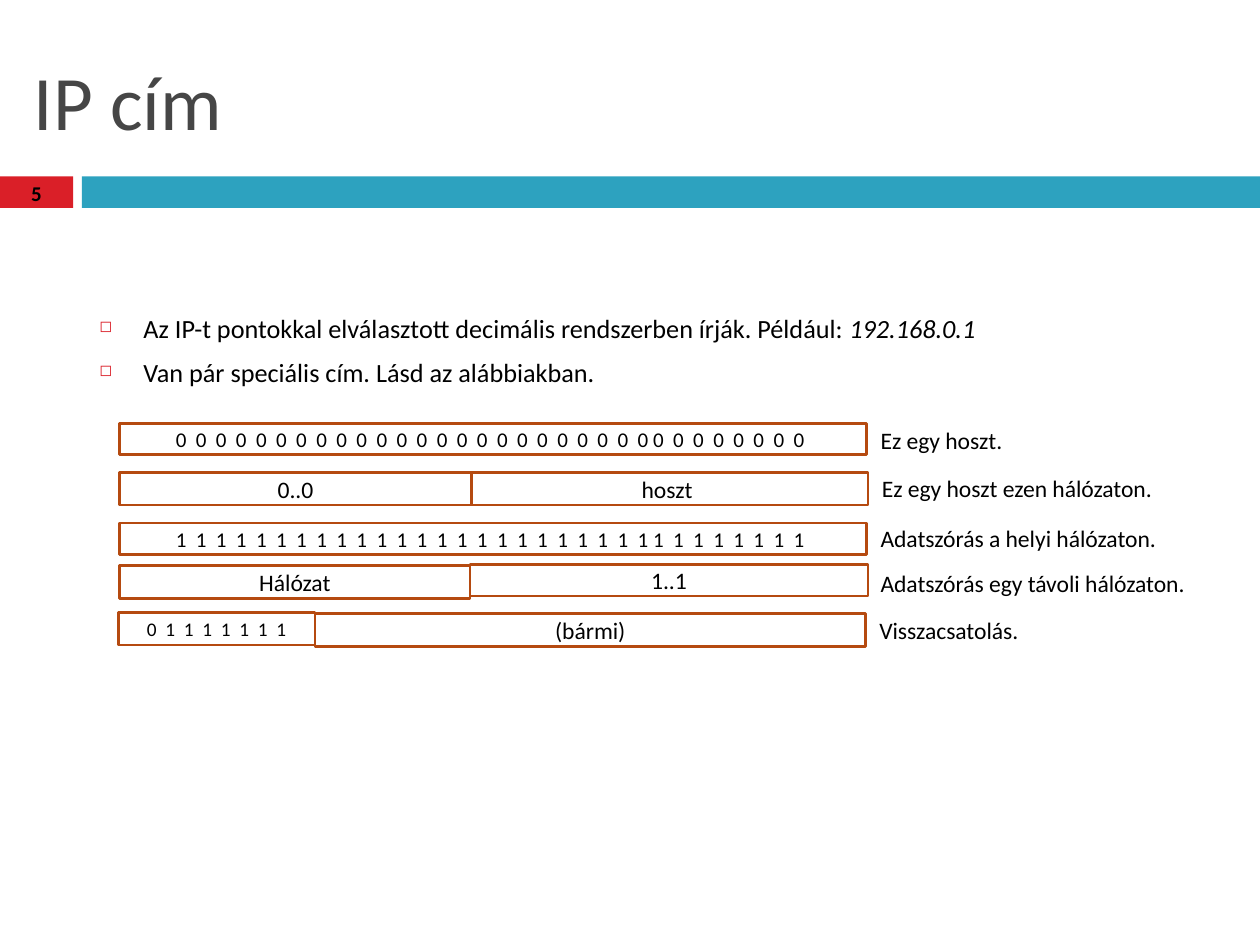
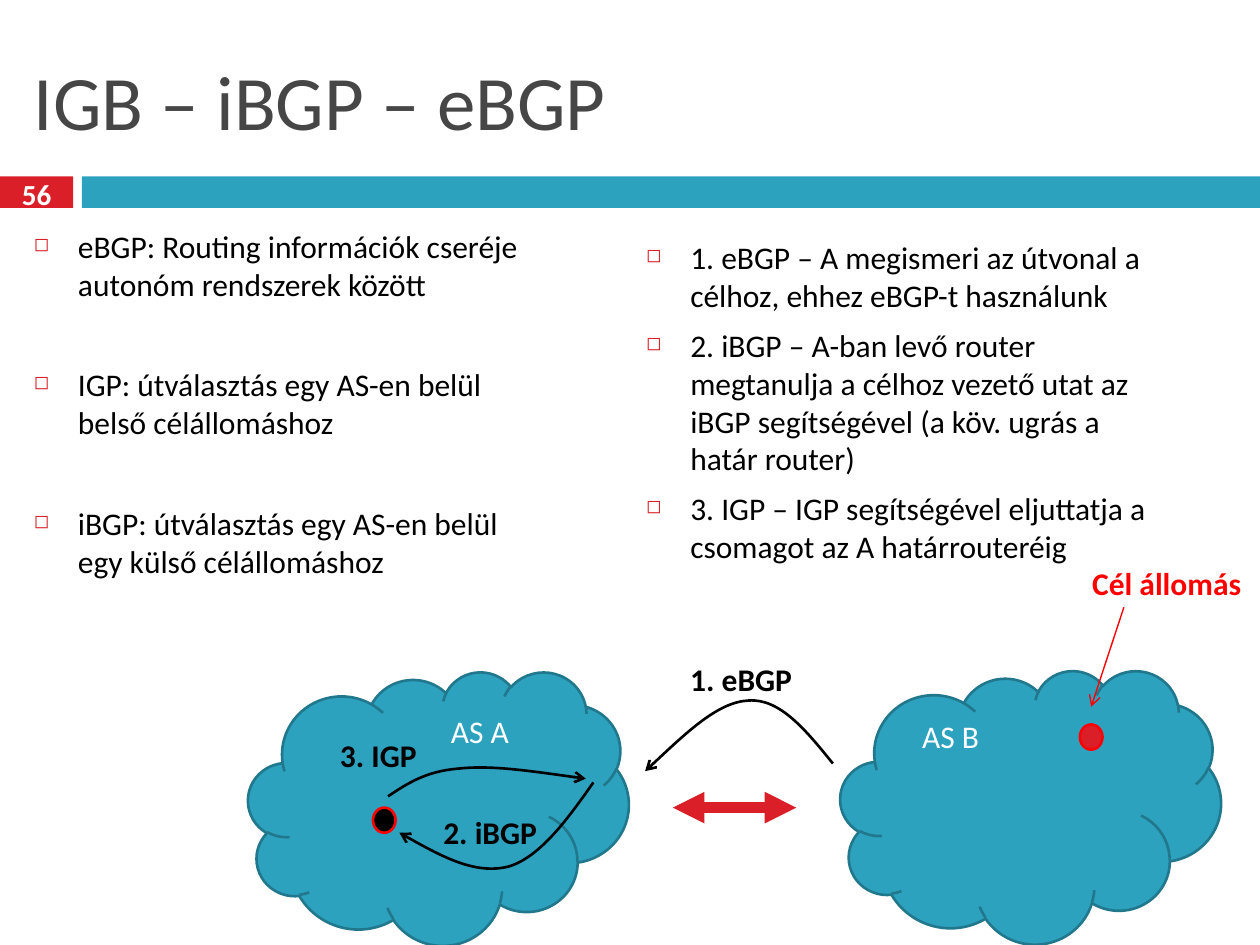
from dataclasses import dataclass

from lxml import etree
from pptx import Presentation
from pptx.dml.color import RGBColor
from pptx.enum.shapes import MSO_CONNECTOR, MSO_SHAPE
from pptx.enum.text import MSO_ANCHOR, PP_ALIGN
from pptx.oxml.ns import qn
from pptx.util import Emu, Pt

PX = 9144
RECT, CLOUD, OVAL = MSO_SHAPE.RECTANGLE, MSO_SHAPE.CLOUD, MSO_SHAPE.OVAL
STRAIGHT = MSO_CONNECTOR.STRAIGHT
TOP, MIDDLE = MSO_ANCHOR.TOP, MSO_ANCHOR.MIDDLE
LEFT, CENTER = PP_ALIGN.LEFT, PP_ALIGN.CENTER


@dataclass(frozen=True)
class Theme:
    font: str = "Calibri"
    title: str = "464646"
    text: str = "000000"
    light: str = "FFFFFF"
    accent: str = "DA1F28"
    band: str = "2DA2BF"
    cloud_line: str = "21788D"
    field_line: str = "B54A10"
    target: str = "FF0000"
    title_size: float = 44
    body_size: float = 18
    small_body_size: float = 15
    field_size: float = 13.5
    bits_size: float = 12
    short_bits_size: float = 11
    outline: float = 1.5
    thin: float = 0.79
    thick: float = 6
    bullet_gap: float = 7
    wide_gap: float = 36


THEME = Theme()


@dataclass(frozen=True)
class Box:
    x: int
    y: int
    w: int
    h: int

    def emu(self) -> list[Emu]:
        return [px(v) for v in (self.x, self.y, self.w, self.h)]


@dataclass(frozen=True)
class Style:
    size: float = THEME.body_size
    color: str = THEME.text
    bold: bool = False
    align: int = LEFT
    anchor: int = TOP
    wrap: bool = True


@dataclass(frozen=True)
class Bullet:
    text: str
    example: str = ""
    before: float = THEME.bullet_gap


@dataclass(frozen=True)
class Field:
    box: Box
    text: str
    size: float = THEME.field_size


@dataclass(frozen=True)
class Label:
    box: Box
    text: str
    style: Style


@dataclass(frozen=True)
class Curve:
    points: tuple[tuple[int, int], ...]


def px(value: int) -> Emu:
    return Emu(value * PX)


def rgb(color: str) -> RGBColor:
    return RGBColor.from_string(color)


def style_run(r, style: Style, italic: bool = False) -> None:
    r.font.name = THEME.font
    r.font.size = Pt(style.size)
    r.font.bold = style.bold
    r.font.italic = italic
    r.font.color.rgb = rgb(style.color)


def write(sp, text: str, style: Style) -> None:
    tf = sp.text_frame
    tf.text = text
    tf.word_wrap = style.wrap
    tf.vertical_anchor = style.anchor
    p = tf.paragraphs[0]
    p.alignment = style.align
    style_run(p.runs[0], style)


def add_text(s, box: Box, text: str, style: Style) -> None:
    write(s.shapes.add_textbox(*box.emu()), text, style)


def add_shape(s, kind: int, box: Box, fill: str = "", line: str = ""):
    sp = s.shapes.add_shape(kind, *box.emu())
    sp.shadow.inherit = False
    if fill:
        sp.fill.solid()
        sp.fill.fore_color.rgb = rgb(fill)
    else:
        sp.fill.background()
    if line:
        set_line(sp, line, THEME.outline)
    else:
        sp.line.fill.background()
    return sp


def set_line(sp, color: str, width: float, head: str = "", tail: str = "") -> None:
    sp.line.color.rgb = rgb(color)
    sp.line.width = Pt(width)
    ln = sp.element.spPr.find(qn("a:ln"))
    for tag, end in (("a:headEnd", head), ("a:tailEnd", tail)):
        if end:
            etree.SubElement(ln, qn(tag), type=end)


def add_arrow(s, start: tuple[int, int], end: tuple[int, int], color: str,
              width: float, tail: str, head: str = "") -> None:
    c = s.shapes.add_connector(STRAIGHT, *[px(v) for v in start + end])
    set_line(c, color, width, head, tail)
    etree.SubElement(c.element.spPr, qn("a:effectLst"))


def add_curve(s, curve: Curve) -> None:
    start, *rest = curve.points
    builder = s.shapes.build_freeform(*start, scale=PX)
    builder.add_line_segments(rest, close=False)
    sp = builder.convert_to_shape()
    sp.shadow.inherit = False
    sp.fill.background()
    set_line(sp, THEME.text, THEME.outline, tail="arrow")
    steps = sp.element.findall(".//" + qn("a:lnTo"))
    for i in range(0, len(steps), 3):
        bezier = etree.Element(qn("a:cubicBezTo"))
        steps[i].addprevious(bezier)
        for step in steps[i:i + 3]:
            bezier.append(step[0])
            step.getparent().remove(step)


def add_bullets(s, box: Box, bullets: list[Bullet], size: float) -> None:
    tf = s.shapes.add_textbox(*box.emu()).text_frame
    tf.word_wrap = True
    style = Style(size)
    for i, bullet in enumerate(bullets):
        p = tf.add_paragraph() if i else tf.paragraphs[0]
        p.text = bullet.text
        p.space_before = Pt(bullet.before)
        style_run(p.runs[0], style)
        if bullet.example:
            r = p.add_run()
            r.text = bullet.example
            style_run(r, style, italic=True)
        ppr = p._p.get_or_add_pPr()
        ppr.set("marL", str(px(35)))
        ppr.set("indent", str(px(-35)))
        color = etree.SubElement(ppr, qn("a:buClr"))
        etree.SubElement(color, qn("a:srgbClr"), val=THEME.accent)
        etree.SubElement(ppr, qn("a:buSzPct"), val="60000")
        etree.SubElement(ppr, qn("a:buChar"), char="◻")


def add_page(prs, title: str, number: str, number_style: Style):
    s = prs.slides.add_slide(prs.slide_layouts[6])
    add_shape(s, RECT, Box(0, 140, 58, 25), THEME.accent)
    add_shape(s, RECT, Box(65, 140, 935, 25), THEME.band)
    add_text(s, Box(17, 25, 967, 108), title,
             Style(THEME.title_size, THEME.title, anchor=MIDDLE))
    add_text(s, Box(0, 137, 58, 33), number, number_style)
    return s


def bits(digit: str) -> str:
    return "  ".join(digit * 24) + " " + "  ".join(digit * 8) + " "


def build_ip_address(prs) -> None:
    s = add_page(prs, "IP cím", "5", Style(12, bold=True, align=CENTER, anchor=MIDDLE))
    add_bullets(s, Box(69, 243, 862, 75), [
        Bullet("Az IP-t pontokkal elválasztott decimális rendszerben írják. Például: ",
               "192.168.0.1"),
        Bullet("Van pár speciális cím. Lásd az alábbiakban."),
    ], THEME.small_body_size)

    fields = [
        Field(Box(95, 336, 593, 25), bits("0"), THEME.bits_size),
        Field(Box(95, 375, 279, 26), "0..0"),
        Field(Box(374, 375, 315, 26), "hoszt "),
        Field(Box(95, 415, 593, 25), bits("1"), THEME.bits_size),
        Field(Box(95, 449, 278, 26), "Hálózat"),
        Field(Box(373, 448, 316, 25), "1..1"),
        Field(Box(94, 486, 156, 26), "  ".join("01111111"), THEME.short_bits_size),
        Field(Box(250, 487, 437, 26), "(bármi)"),
    ]
    for field in fields:
        sp = add_shape(s, RECT, field.box, line=THEME.field_line)
        write(sp, field.text, Style(field.size, align=CENTER, anchor=MIDDLE))

    meaning = Style(THEME.field_size, wrap=False)
    for label in (
        Label(Box(689, 333, 118, 33), "Ez egy hoszt.", meaning),
        Label(Box(690, 371, 238, 33), "Ez egy hoszt ezen hálózaton.", meaning),
        Label(Box(689, 411, 245, 33), "Adatszórás a helyi hálózaton.", meaning),
        Label(Box(689, 447, 269, 33), "Adatszórás egy távoli hálózaton.", meaning),
        Label(Box(688, 484, 131, 33), "Visszacsatolás.", meaning),
    ):
        add_text(s, label.box, label.text, label.style)


def build_routing(prs) -> None:
    s = add_page(prs, "IGB – iBGP – eBGP", "56",
                 Style(16.6, THEME.light, True, CENTER, MIDDLE))
    add_bullets(s, Box(17, 175, 425, 558), [
        Bullet("eBGP: Routing információk cseréje autonóm rendszerek között"),
        Bullet("IGP: útválasztás egy AS-en belül belső célállomáshoz",
               before=THEME.wide_gap),
        Bullet("iBGP: útválasztás egy AS-en belül egy külső célállomáshoz",
               before=THEME.wide_gap),
    ], THEME.body_size)
    add_bullets(s, Box(503, 184, 425, 558), [
        Bullet("1. eBGP – A megismeri az útvonal a célhoz, ehhez eBGP-t használunk"),
        Bullet("2. iBGP – A-ban levő router megtanulja a célhoz vezető utat az iBGP "
               "segítségével (a köv. ugrás a határ router)"),
        Bullet("3. IGP – IGP segítségével eljuttatja a csomagot az A határrouteréig"),
    ], THEME.body_size)

    for cloud in (Box(197, 533, 302, 217), Box(667, 532, 302, 217)):
        add_shape(s, CLOUD, cloud, THEME.band, THEME.cloud_line)
    add_shape(s, OVAL, Box(296, 641, 18, 20), THEME.text, THEME.target)
    add_shape(s, OVAL, Box(857, 575, 18, 20), THEME.accent, THEME.target)
    add_arrow(s, (534, 641), (632, 641), THEME.accent, THEME.thick,
              "triangle", "triangle")
    add_arrow(s, (892, 482), (866, 561), THEME.target, THEME.thin, "arrow")

    ebgp = Curve(((661, 606), (640, 580), (619, 554), (594, 556),
                  (570, 557), (541, 585), (512, 612)))
    ibgp = Curve(((471, 621), (450, 651), (428, 681), (403, 688),
                  (377, 694), (347, 678), (317, 661)))
    igp = Curve(((308, 632), (323, 622), (338, 612), (364, 610),
                 (390, 607), (428, 613), (465, 618)))
    for curve in (ebgp, ibgp, igp):
        add_curve(s, curve)

    step = Style(bold=True)
    system = Style(color=THEME.light)
    for label in (
        Label(Box(857, 443, 143, 40), "Cél állomás", Style(color=THEME.target, bold=True)),
        Label(Box(538, 519, 117, 40), "1. eBGP", step),
        Label(Box(342, 640, 123, 40), "2. iBGP", step),
        Label(Box(260, 579, 127, 40), "3. IGP", step),
        Label(Box(348, 560, 94, 40), "AS A", system),
        Label(Box(722, 564, 94, 40), "AS B", system),
    ):
        add_text(s, label.box, label.text, label.style)


def main() -> None:
    prs = Presentation()
    prs.slide_width, prs.slide_height = px(1000), px(750)
    build_ip_address(prs)
    build_routing(prs)
    prs.save("out.pptx")


if __name__ == "__main__":
    main()
